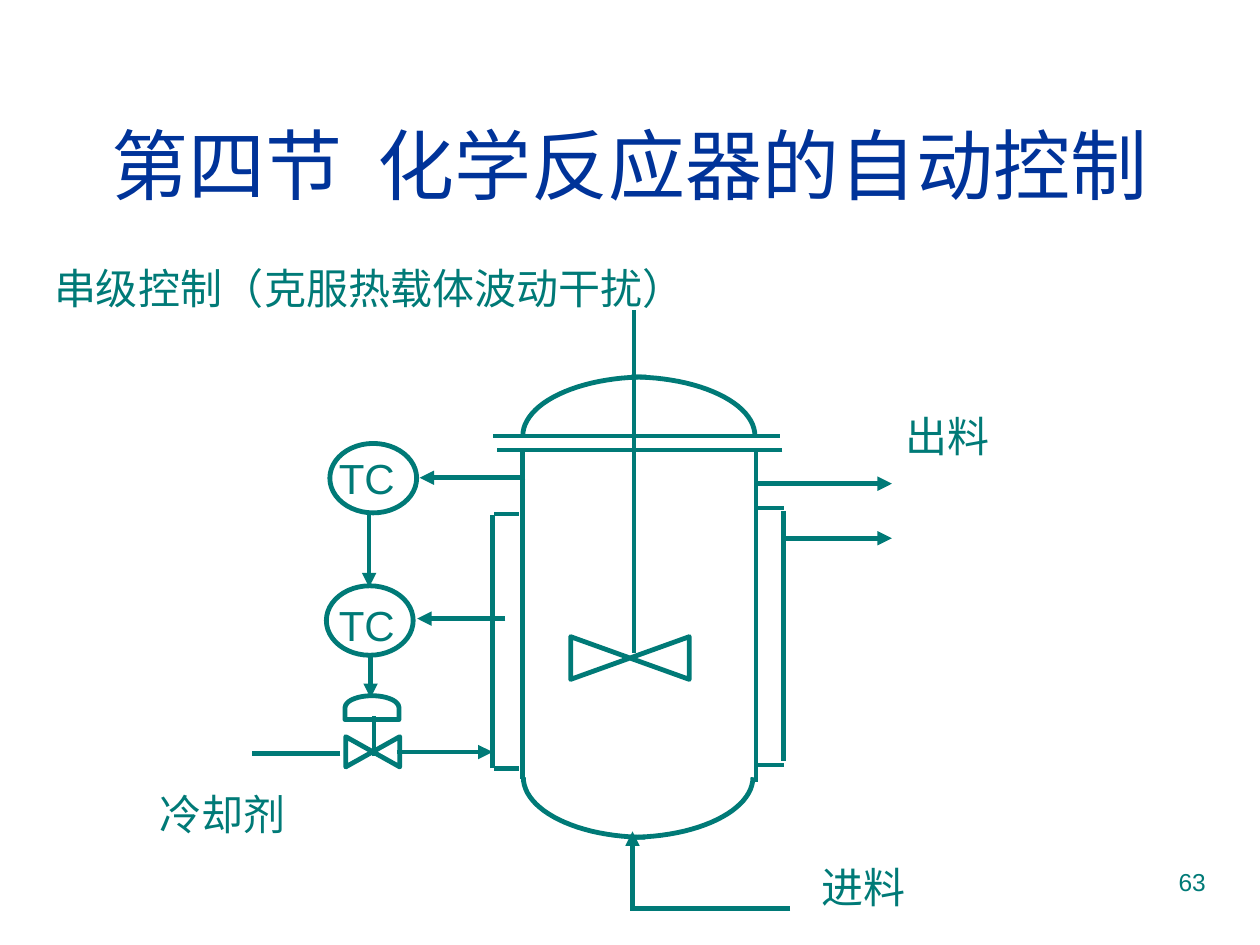
"""Build the slide on cascade control of a chemical reactor."""
import math
from dataclasses import dataclass

from lxml import etree
from pptx import Presentation
from pptx import util as u
from pptx.dml.color import RGBColor
from pptx.enum import shapes, text
from pptx.oxml.ns import qn

COLORS = {"ink": "007A77", "title": "003399"}
FONT = "Arial"
STROKE = u.Pt(2.75)
ARC_STEPS = 24


@dataclass(frozen=True)
class Pipe:
    x1: float
    y1: float
    x2: float
    y2: float
    arrow: bool = False


@dataclass(frozen=True)
class Symbol:
    kind: shapes.MSO_SHAPE
    left: float
    top: float
    width: float
    height: float
    turn: int = 0


@dataclass(frozen=True)
class Quarter:
    center_x: float
    center_y: float
    radius_x: float
    radius_y: float


@dataclass(frozen=True)
class Label:
    words: str
    left: float
    top: float
    width: float = 5.51
    height: float = 1.27
    size: int = 24
    align: text.PP_ALIGN = text.PP_ALIGN.LEFT
    spacing: float = 1.0


VESSEL = [
    Pipe(15.24, 9.07, 15.24, 15.77),
    Pipe(10.54, 9.07, 10.54, 15.7),
    Pipe(15.72, 8.79, 9.93, 8.79),
    Pipe(15.77, 9.07, 10.01, 9.07),
    Pipe(12.78, 13.16, 12.78, 6.25),
]
JACKET = [
    Pipe(9.93, 15.49, 9.93, 10.39),
    Pipe(15.8, 15.34, 15.8, 10.31),
    *(Pipe(9.96, y, 10.46, y) for y in (10.36, 15.49)),
    *(Pipe(15.24, y, 15.8, y) for y in (10.24, 15.42)),
]
FLOWS = [
    Pipe(6.86, 15.19, 5.08, 15.19),
    Pipe(8, 15.16, 9.93, 15.16, True),
    Pipe(15.27, 9.75, 17.98, 9.75, True),
    Pipe(15.85, 10.85, 17.98, 10.85, True),
    Pipe(15.93, 18.31, 12.7, 18.31),
    Pipe(12.75, 18.31, 12.75, 16.76, True),
]
SIGNALS = [
    Pipe(10.59, 9.63, 8.46, 9.63, True),
    Pipe(10.19, 12.47, 8.41, 12.47, True),
    Pipe(7.44, 10.31, 7.44, 11.84, True),
    Pipe(7.47, 13.16, 7.47, 14.07, True),
    Pipe(7.54, 15.24, 7.54, 14.43),
]
SYMBOLS = [
    Symbol(shapes.MSO_SHAPE.FLOWCHART_COLLATE, 7.21, 14.61, 0.61, 1.09, 270),
    Symbol(shapes.MSO_SHAPE.FLOWCHART_DELAY, 7.26, 13.72, 0.48, 1.09, 270),
    Symbol(shapes.MSO_SHAPE.FLOWCHART_COLLATE, 12.27, 12.07, 0.86, 2.39, 270),
    Symbol(shapes.MSO_SHAPE.OVAL, 6.58, 11.81, 1.75, 1.4),
    Symbol(shapes.MSO_SHAPE.OVAL, 6.65, 8.94, 1.75, 1.4),
]
HEADS = [
    Quarter(12.7, 15.67, 2.48, 1.21),
    Quarter(13.01, 15.67, -2.46, 1.21),
    Quarter(12.73, 8.79, 2.49, -1.19),
    Quarter(13.03, 8.79, -2.49, -1.19),
]
LABELS = [
    Label("63", 18.21, 17.35, 6.35, 1.32, 14, text.PP_ALIGN.RIGHT),
    Label("串级控制（克服热载体波动干扰）", 0.84, 5.28, 23.72, 1.63, spacing=0.9),
    Label("冷却剂", 2.97, 15.77),
    Label("进料", 16.31, 17.25),
    Label("出料", 18.01, 8.15),
    Label("TC", 6.58, 8.99, 2.11),
    Label("TC", 6.58, 11.96, 2.11),
]


def style_line(line, color: str = "ink") -> None:
    line.color.rgb = RGBColor.from_string(COLORS[color])
    line.width = STROKE


def style_outline(shape) -> None:
    shape.shadow.inherit = False
    shape.fill.background()
    style_line(shape.line)


def add_span(para, words: str, size: int, color: str) -> None:
    span = para.add_run()
    span.text = words
    span.font.name = FONT
    span.font.size = u.Pt(size)
    span.font.color.rgb = RGBColor.from_string(COLORS[color])


def draw_pipe(page, pipe: Pipe) -> None:
    ends = (u.Cm(value) for value in (pipe.x1, pipe.y1, pipe.x2, pipe.y2))
    connector = page.shapes.add_connector(shapes.MSO_CONNECTOR.STRAIGHT, *ends)
    style_line(connector.line)
    if pipe.arrow:
        outline = connector.line._get_or_add_ln()
        etree.SubElement(outline, qn("a:tailEnd"), type="triangle")
    etree.SubElement(connector._element.spPr, qn("a:effectLst"))


def draw_symbol(page, symbol: Symbol) -> None:
    frame = (symbol.left, symbol.top, symbol.width, symbol.height)
    shape = page.shapes.add_shape(symbol.kind, *(u.Cm(value) for value in frame))
    shape.rotation = symbol.turn
    style_outline(shape)


def draw_quarter(page, arc: Quarter) -> None:
    angles = [math.pi / 2 * step / ARC_STEPS for step in range(ARC_STEPS + 1)]
    points = [
        (u.Cm(arc.center_x + arc.radius_x * math.sin(angle)),
         u.Cm(arc.center_y + arc.radius_y * math.cos(angle)))
        for angle in angles
    ]
    builder = page.shapes.build_freeform(*points[0])
    builder.add_line_segments(points[1:], close=False)
    style_outline(builder.convert_to_shape())


def draw_label(page, label: Label) -> None:
    frame = (label.left, label.top, label.width, label.height)
    box = page.shapes.add_textbox(*(u.Cm(value) for value in frame))
    box.text_frame.word_wrap = True
    para = box.text_frame.paragraphs[0]
    para.alignment = label.align
    para.line_spacing = label.spacing
    add_span(para, label.words, label.size, "ink")


def draw_title(page, words: str) -> None:
    title = page.shapes.title
    title.left, title.top = u.Cm(0.84), u.Cm(1.7)
    title.width, title.height = u.Cm(23.72), u.Cm(3.18)
    title.text_frame.vertical_anchor = text.MSO_ANCHOR.MIDDLE
    para = title.text_frame.paragraphs[0]
    para.alignment = text.PP_ALIGN.CENTER
    add_span(para, words, 44, "title")


def main() -> None:
    deck = Presentation()
    deck.slide_width, deck.slide_height = u.Cm(25.4), u.Cm(19.05)
    page = deck.slides.add_slide(deck.slide_layouts[5])
    draw_title(page, "第四节  化学反应器的自动控制")
    for pipe in VESSEL + JACKET + FLOWS + SIGNALS:
        draw_pipe(page, pipe)
    for symbol in SYMBOLS:
        draw_symbol(page, symbol)
    for arc in HEADS:
        draw_quarter(page, arc)
    for label in LABELS:
        draw_label(page, label)
    deck.save("out.pptx")


if __name__ == "__main__":
    main()
